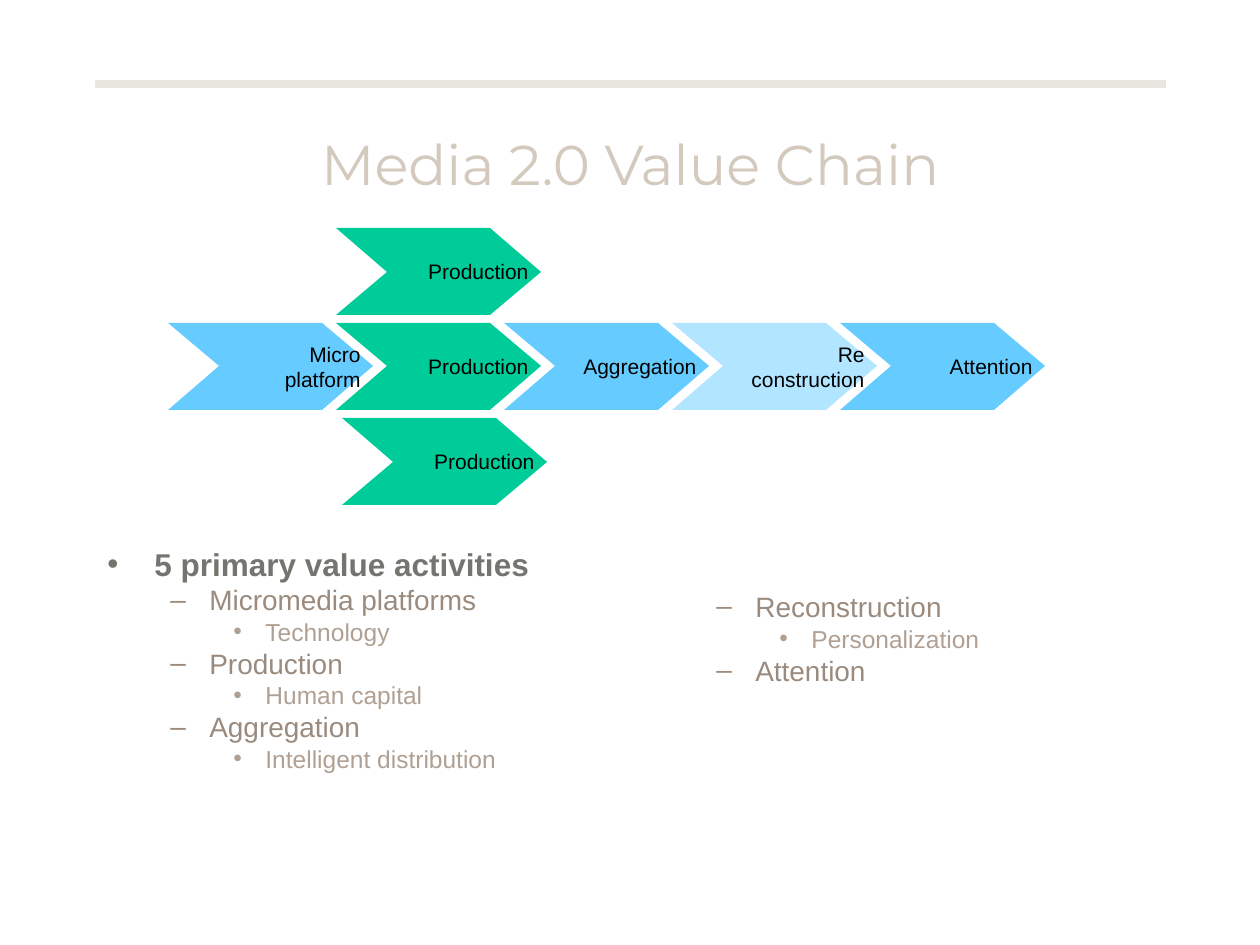
from lxml.etree import SubElement
from pptx import Presentation
from pptx.dml.color import RGBColor
from pptx.enum.shapes import MSO_CONNECTOR
from pptx.enum.text import MSO_ANCHOR, PP_ALIGN
from pptx.oxml.ns import qn
from pptx.util import Pt

PX = 914400 / 126


def px(n):
    """Turn px into EMU."""
    return round(n * PX)


def style(font, **look):
    """Set font attributes; color is a hex string."""
    font.color.rgb = RGBColor.from_string(look.pop("color"))
    for key, value in look.items():
        setattr(font, key, value)


deck = Presentation()
deck.slide_width, deck.slide_height = px(1260), px(945)
slide = deck.slides.add_slide(deck.slide_layouts[5])
shapes = slide.shapes

# Rule and title
rule = shapes.add_connector(MSO_CONNECTOR.STRAIGHT, px(95), px(84), px(1166), px(84))
rule.line.color.rgb = RGBColor.from_string("E9E5DF")
rule.line.width = Pt(4.5)
SubElement(rule._element.spPr, qn("a:effectLst"))

title = shapes.title
place = {"left": 95, "top": 84, "width": 1071, "height": 158}
for key, value in place.items():
    setattr(title, key, px(value))
title.text_frame.text = "Media 2.0 Value Chain"
title.text_frame.vertical_anchor = MSO_ANCHOR.MIDDLE
head = title.text_frame.paragraphs[0]
head.alignment = PP_ALIGN.CENTER
style(head.runs[0].font, color="D3C9BD", name="Montserrat", size=Pt(32))

# Value chain: column, row, nudge in px, label, fill, opacity in percent
LEFT, TOP, COL, ROW = 168, 228, 168, 95
WIDE, HIGH, NOTCH = 205, 87, 51
GREEN, BLUE = "00CC99", "66CCFF"
steps = [
    (1, 1, 0, "Production", GREEN, 100),
    (2, 1, 0, "Aggregation", BLUE, 100),
    (4, 1, 0, "Attention", BLUE, 100),
    (0, 1, 0, "Micro\nplatform", BLUE, 100),
    (3, 1, 0, "Re\nconstruction", BLUE, 50),
    (1, 2, 6, "Production", GREEN, 100),
    (1, 0, 0, "Production", GREEN, 100),
]
for col, row, nudge, label, fill, solid in steps:
    x, y = LEFT + col * COL + nudge, TOP + row * ROW
    mid = y + HIGH / 2
    pen = shapes.build_freeform(x, y, scale=PX)
    pen.add_line_segments([
        (x + WIDE - NOTCH, y), (x + WIDE, mid), (x + WIDE - NOTCH, y + HIGH),
        (x, y + HIGH), (x + NOTCH, mid),
    ], close=True)
    arrow = pen.convert_to_shape()
    arrow.shadow.inherit = False
    arrow.line.fill.background()
    arrow.fill.solid()
    arrow.fill.fore_color.rgb = RGBColor.from_string(fill)
    if solid < 100:
        tint = arrow._element.spPr.find(qn("a:solidFill"))[0]
        SubElement(tint, qn("a:alpha"), val=str(solid * 1000))
    frame = arrow.text_frame
    frame.word_wrap = True
    frame.vertical_anchor = MSO_ANCHOR.MIDDLE
    frame.text = label
    for para in frame.paragraphs:
        para.alignment = PP_ALIGN.RIGHT
        style(para.runs[0].font, color="000000", name="Arial", size=Pt(12))

# Bullet lists: indent and hang in px, mark, colour, size, space before
levels = [
    (47, 47, "•", "75756F", 18, 4.5),
    (102, 39, "–", "9A8B7E", 16, 4),
    (158, 32, "•", "AFA093", 14, 3.5),
]
lists = [
    (95, 546, [
        (0, "5 primary value activities"),
        (1, "Micromedia platforms"), (2, "Technology"),
        (1, "Production"), (2, "Human capital"),
        (1, "Aggregation"), (2, "Intelligent distribution"),
    ]),
    (641, 590, [
        (1, "Reconstruction"), (2, "Personalization"), (1, "Attention"),
    ]),
]
for x, y, items in lists:
    box = shapes.add_textbox(px(x), px(y), px(525), px(840 - y))
    frame = box.text_frame
    frame.word_wrap = True
    for i, (level, text) in enumerate(items):
        indent, hang, mark, color, size, gap = levels[level]
        para = frame.add_paragraph() if i else frame.paragraphs[0]
        para.level = level
        para.line_spacing = 0.8
        para.space_before = Pt(gap if i else 0)
        props = para._p.get_or_add_pPr()
        props.set("marL", str(px(indent)))
        props.set("indent", str(-px(hang)))
        SubElement(SubElement(props, qn("a:buClr")), qn("a:srgbClr"), val=color)
        SubElement(props, qn("a:buFont"), typeface="Arial")
        SubElement(props, qn("a:buChar"), char=mark)
        run = para.add_run()
        run.text = text
        style(run.font, color=color, name="Arial", size=Pt(size), bold=level == 0)

deck.save("out.pptx")
